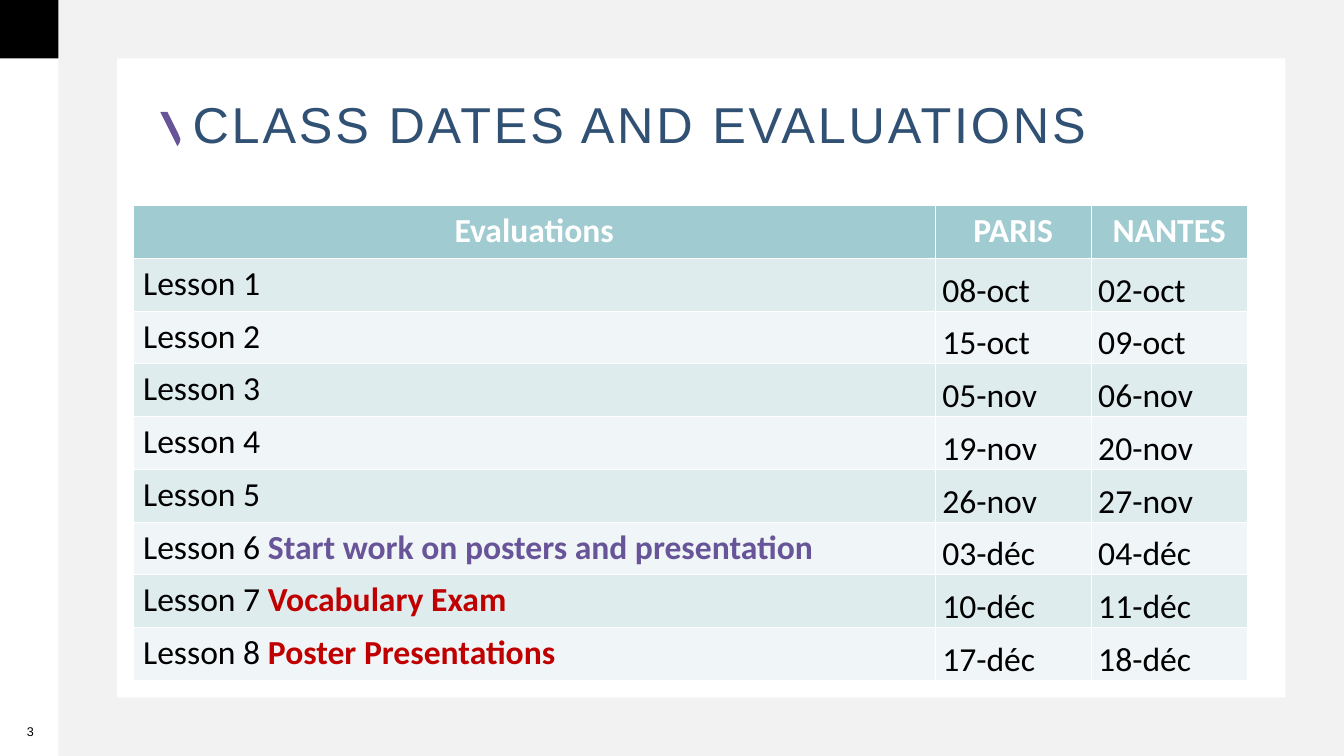
from pptx import Presentation
from pptx.dml.color import RGBColor
from pptx.enum.shapes import MSO_SHAPE
from pptx.enum.text import MSO_ANCHOR, PP_ALIGN
from pptx.util import Inches, Pt

RECTANGLE, FRAME = MSO_SHAPE.RECTANGLE, MSO_SHAPE.FRAME
CENTER, LEFT = PP_ALIGN.CENTER, PP_ALIGN.LEFT
TOP, BOTTOM = MSO_ANCHOR.TOP, MSO_ANCHOR.BOTTOM

WIDTH, HEIGHT = 13.33, 7.5
MARGIN = 0.58
WHITE, BLACK, GREY = "FFFFFF", "000000", "F2F2F2"
PURPLE, NAVY, RED = "685599", "305174", "C00000"
HEADER_FILL, BAND_FILLS = "A0CBD1", ("DFECEE", "F0F6F7")

HEADINGS = ("Evaluations", "PARIS", "NANTES")
LESSONS = [
    ("", BLACK, "08-oct", "02-oct"),
    ("", BLACK, "15-oct", "09-oct"),
    ("", BLACK, "05-nov", "06-nov"),
    ("", BLACK, "19-nov", "20-nov"),
    ("", BLACK, "26-nov", "27-nov"),
    ("Start work on posters and presentation", PURPLE, "03-déc", "04-déc"),
    ("Vocabulary Exam", RED, "10-déc", "11-déc"),
    ("Poster Presentations", RED, "17-déc", "18-déc"),
]
COLUMN_SHARES = (0.72, 0.14, 0.14)


def color(hex_code):
    return RGBColor.from_string(hex_code)


def paint(shape, fill):
    shape.shadow.inherit = False
    shape.fill.solid()
    shape.fill.fore_color.rgb = color(fill)
    shape.line.fill.background()


def add_block(page, kind, box, fill):
    shape = page.shapes.add_shape(kind, *map(Inches, box))
    paint(shape, fill)
    return shape


def add_span(para, text, size, font, ink, bold=False, spacing=0):
    span = para.add_run()
    span.text = text
    span.font.size = Pt(size)
    span.font.name = font
    span.font.bold = bold
    span.font.color.rgb = color(ink)
    if spacing:
        span.font._element.set("spc", str(spacing * 100))


def add_label(page, box, text, size, ink, spacing, align, inset=0):
    frame = page.shapes.add_textbox(*map(Inches, box)).text_frame
    frame.word_wrap = True
    frame.margin_left = Inches(inset)
    frame.margin_right = frame.margin_top = frame.margin_bottom = 0
    para = frame.paragraphs[0]
    para.alignment = align
    add_span(para, text, size, "Arial", ink, spacing=spacing)
    return para


def draw_background(page, box):
    left, top, width, height = box
    frame = add_block(page, FRAME, (left + MARGIN, top, width - MARGIN, height), GREY)
    frame.adjustments[0] = MARGIN / height
    add_block(page, RECTANGLE, (left, top, MARGIN, MARGIN), BLACK)
    add_label(page, (left + 0.07, top + height - 0.32, 0.42, 0.15),
              "3", 9, BLACK, 4, CENTER, inset=0.04)


def draw_title(page, box):
    left, top, width, height = box
    outline = [(0, 0), (0.07, 0), (0.18, 0.22), (0.2, 0.27), (0.19, 0.31), (0.17, 0.34)]
    points = [(Inches(left + x), Inches(top + 0.12 + y)) for x, y in outline]
    builder = page.shapes.build_freeform(*points[0], scale=1.0)
    builder.add_line_segments(points[1:], close=True)
    paint(builder.convert_to_shape(), PURPLE)
    para = add_label(page, (left + 0.32, top, width - 0.32, height),
                     "CLASS DATES AND EVALUATIONS", 36, NAVY, 2, LEFT)
    para.line_spacing = 0.9


def fill_cell(cell, fill, spans, align=LEFT):
    cell.fill.solid()
    cell.fill.fore_color.rgb = color(fill)
    cell.vertical_anchor = TOP
    para = cell.text_frame.paragraphs[0]
    para.alignment = align
    for text, ink, bold in spans:
        add_span(para, text, 24, "Calibri", ink, bold)
    return para


def fill_date(cell, fill, date):
    para = fill_cell(cell, fill, [(date, BLACK, False)])
    para.line_spacing = 1.07
    para.space_after = Pt(8)
    cell.vertical_anchor = BOTTOM
    cell.margin_left = cell.margin_right = Inches(0.07)
    cell.margin_top = cell.margin_bottom = 0


def draw_schedule(page, box):
    row_count = len(LESSONS) + 1
    table = page.shapes.add_table(row_count, len(HEADINGS), *map(Inches, box)).table
    table.horz_banding = False
    for column, share in zip(table.columns, COLUMN_SHARES):
        column.width = Inches(box[2] * share)
    for row in table.rows:
        row.height = Inches(box[3] / row_count)
    for index, heading in enumerate(HEADINGS):
        fill_cell(table.cell(0, index), HEADER_FILL, [(heading, WHITE, True)], CENTER)
    for number, (event, ink, *dates) in enumerate(LESSONS, 1):
        fill = BAND_FILLS[(number - 1) % 2]
        spans = [(f"Lesson {number}", BLACK, False)]
        if event:
            spans = [(f"Lesson {number} ", BLACK, False), (event, ink, True)]
        fill_cell(table.cell(number, 0), fill, spans)
        for index, date in enumerate(dates, 1):
            fill_date(table.cell(number, index), fill, date)


def main():
    deck = Presentation()
    deck.slide_width, deck.slide_height = Inches(WIDTH), Inches(HEIGHT)
    page = deck.slides.add_slide(deck.slide_layouts[6])
    draw_background(page, (0, 0, WIDTH, HEIGHT))
    draw_title(page, (1.59, 0.99, 10.4, 0.74))
    draw_schedule(page, (1.32, 2.04, 11.05, 4.71))
    deck.save("out.pptx")


if __name__ == "__main__":
    main()
